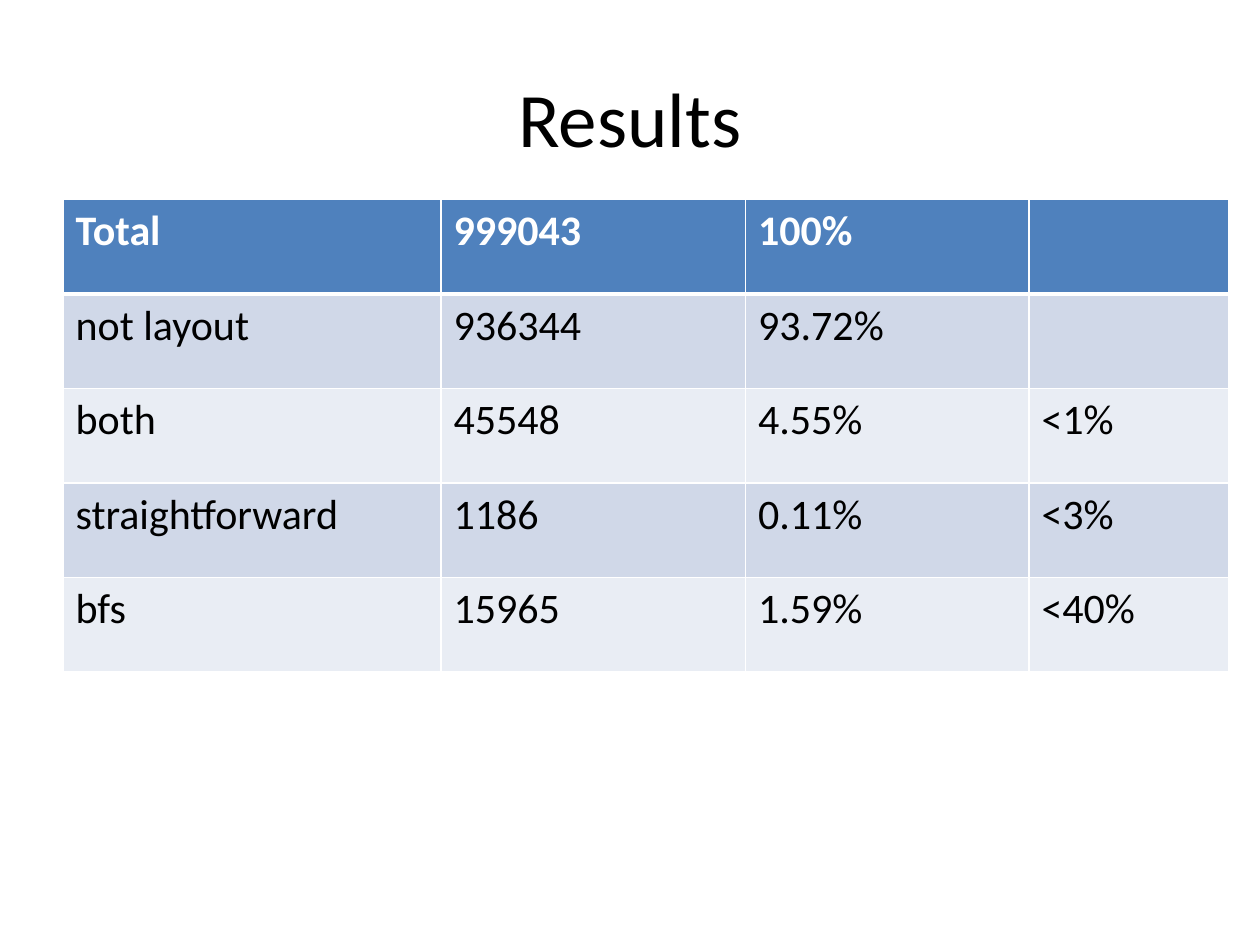
from lxml import etree
from pptx import Presentation
from pptx.dml.color import RGBColor
from pptx.enum.text import MSO_ANCHOR, PP_ALIGN
from pptx.oxml.ns import qn
from pptx.util import Pt

MIDDLE, CENTER = MSO_ANCHOR.MIDDLE, PP_ALIGN.CENTER
FONT = "Calibri"
BLACK = RGBColor(0x00, 0x00, 0x00)
WHITE = RGBColor(0xFF, 0xFF, 0xFF)
HEADER = RGBColor(0x4F, 0x81, 0xBD)
BANDS = [RGBColor(0xE9, 0xED, 0xF4), RGBColor(0xD0, 0xD8, 0xE8)]

# Content
TITLE = "Results"
ROWS = [
    ("Total", "999043", "100%", ""),
    ("not layout", "936344", "93.72%", ""),
    ("both", "45548", "4.55%", "<1%"),
    ("straightforward", "1186", "0.11%", "<3%"),
    ("bfs", "15965", "1.59%", "<40%"),
]
COL_WIDTHS = [216, 174, 162, 114]
ROW_HEIGHT = 54


def style(p, size, color, bold=False):
    for r in p.runs:
        r.font.name, r.font.size = FONT, Pt(size)
        r.font.color.rgb, r.font.bold = color, bold


def set_borders(cell, widths):
    """Draw white lines on the left, right, top and bottom of a cell."""
    tcPr = cell._tc.get_or_add_tcPr()
    for i, (side, width) in enumerate(zip("LRTB", widths)):
        ln = etree.Element(qn(f"a:ln{side}"), w=str(Pt(width)))
        fill = etree.SubElement(ln, qn("a:solidFill"))
        etree.SubElement(fill, qn("a:srgbClr"), val=str(WHITE))
        tcPr.insert(i, ln)


prs = Presentation()
prs.slide_width, prs.slide_height = Pt(720), Pt(540)
s = prs.slides.add_slide(prs.slide_layouts[6])

# Title
tf = s.shapes.add_textbox(Pt(36), Pt(21.6), Pt(648), Pt(90)).text_frame
tf.word_wrap = True
tf.vertical_anchor = MIDDLE
tf.text = TITLE
tf.paragraphs[0].alignment = CENTER
style(tf.paragraphs[0], 44, BLACK)

# Results table
table = s.shapes.add_table(
    len(ROWS), len(COL_WIDTHS), Pt(36), Pt(114),
    Pt(sum(COL_WIDTHS)), Pt(ROW_HEIGHT * len(ROWS))).table
for column, width in zip(table.columns, COL_WIDTHS):
    column.width = Pt(width)

for i, values in enumerate(ROWS):
    table.rows[i].height = Pt(ROW_HEIGHT)
    is_header = i == 0
    for j, value in enumerate(values):
        cell = table.cell(i, j)
        cell.fill.solid()
        cell.fill.fore_color.rgb = HEADER if is_header else BANDS[i % 2]
        set_borders(cell, (1, 1, 3 if i == 1 else 1, 3 if is_header else 1))
        if value:
            cell.text = value
            style(cell.text_frame.paragraphs[0], 24,
                  WHITE if is_header else BLACK, is_header)

prs.save("out.pptx")
